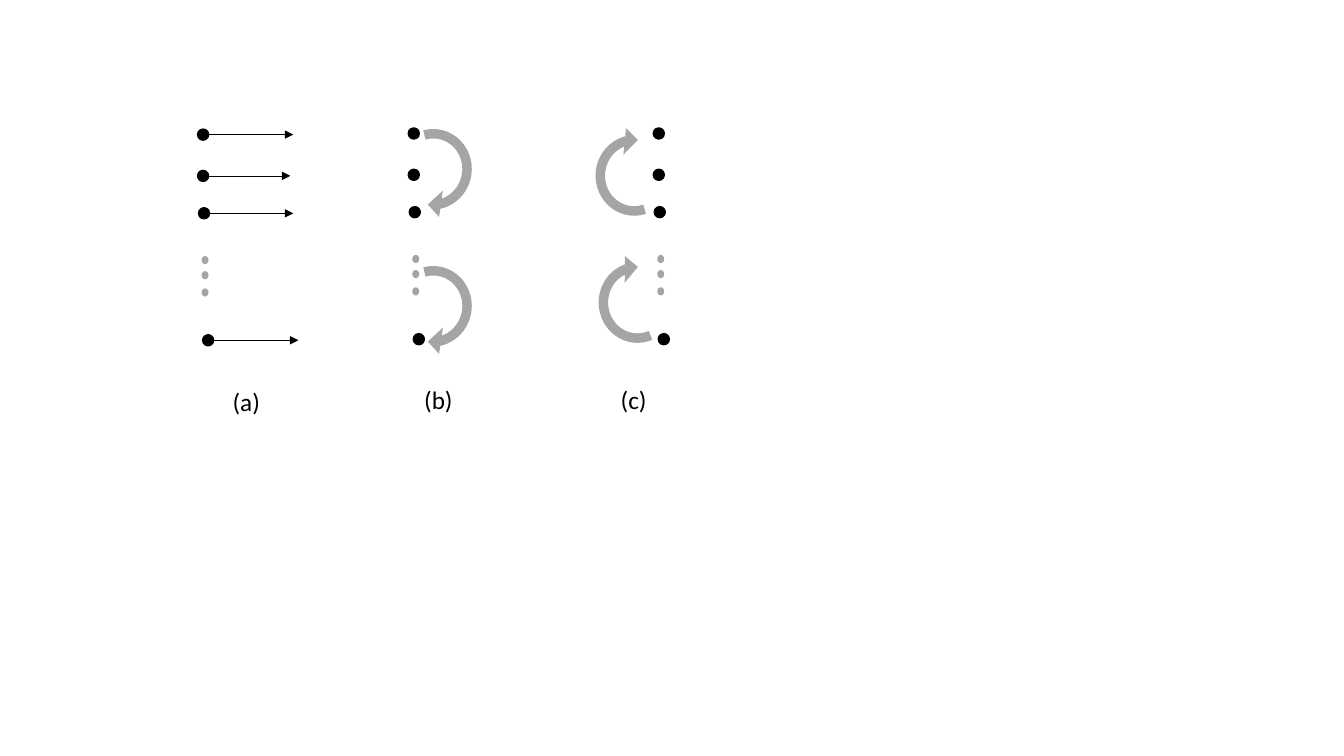
"""Build a slide with three dot columns: straight arrows, downward turns and upward turns."""
from lxml import etree
from pptx import Presentation
from pptx.dml.color import RGBColor
from pptx.enum.shapes import MSO_CONNECTOR, MSO_SHAPE
from pptx.enum.text import MSO_AUTO_SIZE, PP_ALIGN
from pptx.oxml.ns import qn
from pptx.util import Pt

OVAL = MSO_SHAPE.OVAL
TURN = MSO_SHAPE.CIRCULAR_ARROW
STRAIGHT = MSO_CONNECTOR.STRAIGHT
FIT_SHAPE = MSO_AUTO_SIZE.SHAPE_TO_FIT_TEXT
LEFT = PP_ALIGN.LEFT

COLORS = {"black": "000000", "gray": "A5A5A5", "white": "FFFFFF"}
DOT = 7.9
DOT_OFFSETS = [(0, 0), (0, 29.5), (0.7, 56.2), (3.6, 146.9)]
ELLIPSIS_OFFSETS = [90.7, 101.5, 113.8]
COLUMNS = [(141.1, 92.2), (291.6, 91.4), (466.6, 91.4)]
ARROWS = [(148.3, 209.5), (146.9, 207.4), (148.3, 209.5), (152.6, 213.1)]
TURN_ADJUSTMENTS = [0.1, 12.88, 203.48, 95.01, 0.14]
TURNS = [
    (274.3, 87.1, 97.7),
    (274.3, 185, 97.7),
    (418.3, 91.4, 275),
    (420.5, 182.2, 270),
]
LABELS = [("(a)", 159.1, 272.5), ("(b)", 295.9, 270.7), ("(c)", 436.3, 270.7)]


def add_solid(shapes, preset, left, top, width, height, color, outline=None):
    shape = shapes.add_shape(preset, Pt(left), Pt(top), Pt(width), Pt(height))
    shape.shadow.inherit = False
    shape.fill.solid()
    shape.fill.fore_color.rgb = RGBColor.from_string(COLORS[color])
    if outline:
        shape.line.color.rgb = RGBColor.from_string(COLORS[color])
        shape.line.width = Pt(outline)
    else:
        shape.line.fill.background()
    return shape


def add_text(text, *, left, top, width, height, size=18, font="Calibri", color="black"):
    box = page.shapes.add_textbox(Pt(left), Pt(top), Pt(width), Pt(height))
    box.text_frame.word_wrap = True
    box.text_frame.auto_size = FIT_SHAPE
    para = box.text_frame.paragraphs[0]
    para.alignment = LEFT
    span = para.add_run()
    span.text = text
    span.font.size = Pt(size)
    span.font.name = font
    span.font.color.rgb = RGBColor.from_string(COLORS[color])


deck = Presentation()
deck.slide_width = Pt(960)
deck.slide_height = Pt(540)
page = deck.slides.add_slide(deck.slide_layouts[6])
page.background.fill.solid()
page.background.fill.fore_color.rgb = RGBColor.from_string(COLORS["white"])

for column_left, column_top in COLUMNS:
    for dx, dy in DOT_OFFSETS:
        add_solid(page.shapes, OVAL, column_left + dx, column_top + dy, DOT, DOT, "black", outline=1)
    ellipsis = page.shapes.add_group_shape()
    for dy in ELLIPSIS_OFFSETS:
        add_solid(ellipsis.shapes, OVAL, column_left + 2.9, column_top + dy, 5, 5.8, "gray")

for (start, end), (dx, dy) in zip(ARROWS, DOT_OFFSETS):
    middle = COLUMNS[0][1] + dy + DOT / 2
    arrow = page.shapes.add_connector(STRAIGHT, Pt(start), Pt(middle), Pt(end), Pt(middle))
    arrow.line.color.rgb = RGBColor.from_string(COLORS["black"])
    arrow.line.width = Pt(0.5)
    etree.SubElement(arrow.line._get_or_add_ln(), qn("a:tailEnd"), type="triangle")
    etree.SubElement(arrow._element.spPr, qn("a:effectLst"))

for left, top, angle in TURNS:
    turn = add_solid(page.shapes, TURN, left, top, 69.8, 67.7, "gray")
    turn.rotation = angle
    for index, value in enumerate(TURN_ADJUSTMENTS):
        turn.adjustments[index] = value

for label, left, top in LABELS:
    add_text(label, left=left, top=top, width=38.9, height=28.8)

deck.save("out.pptx")
